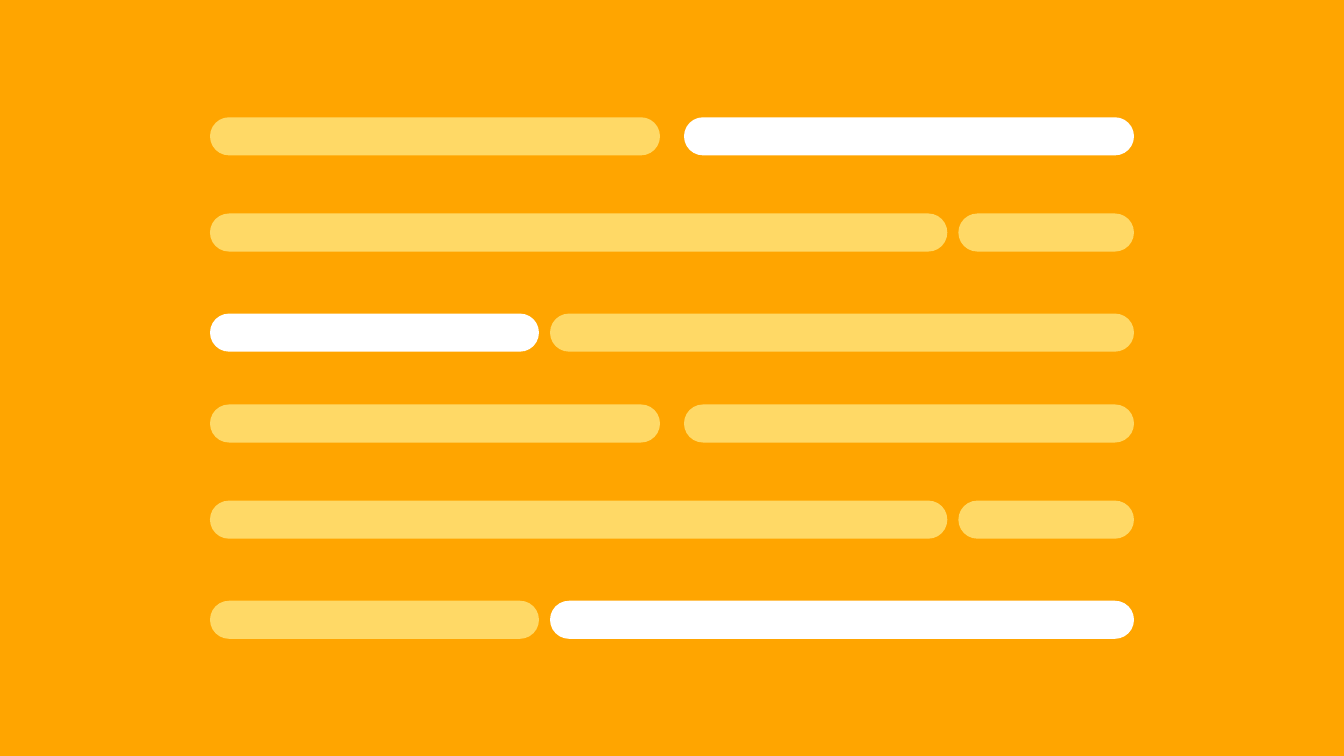
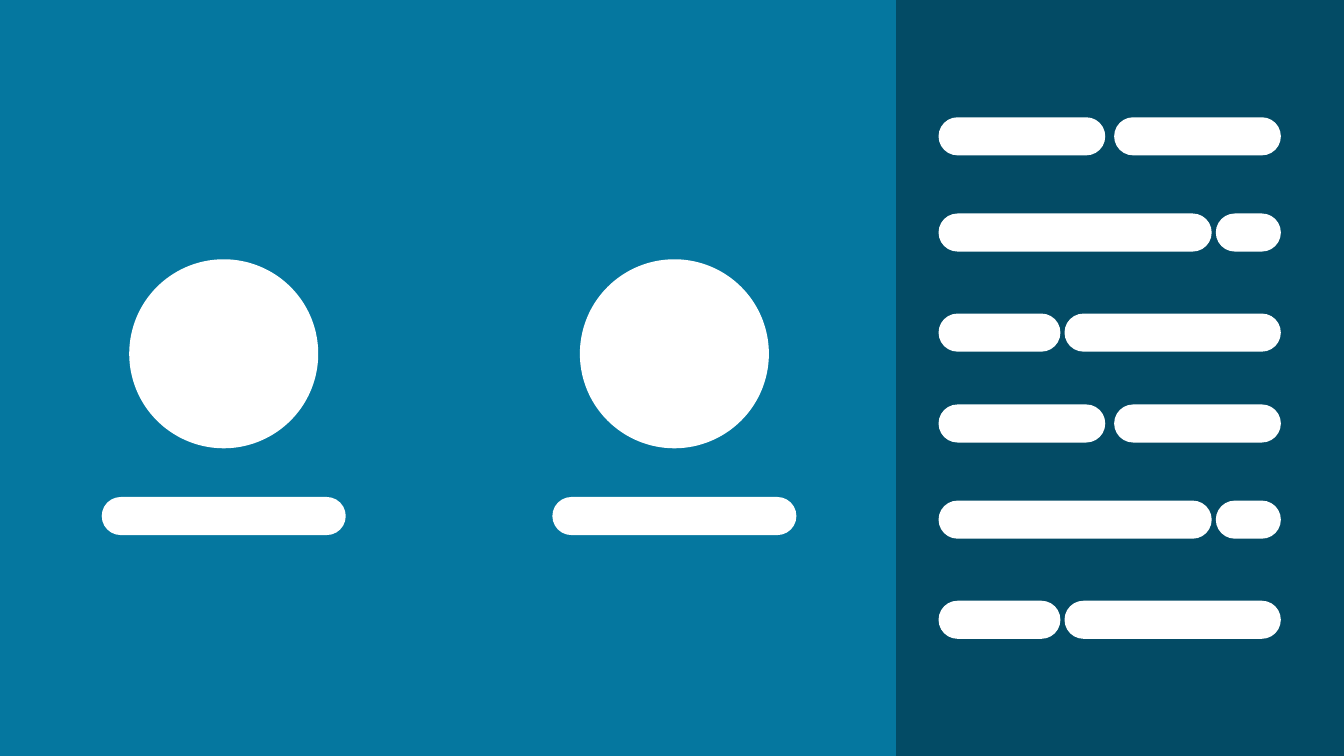
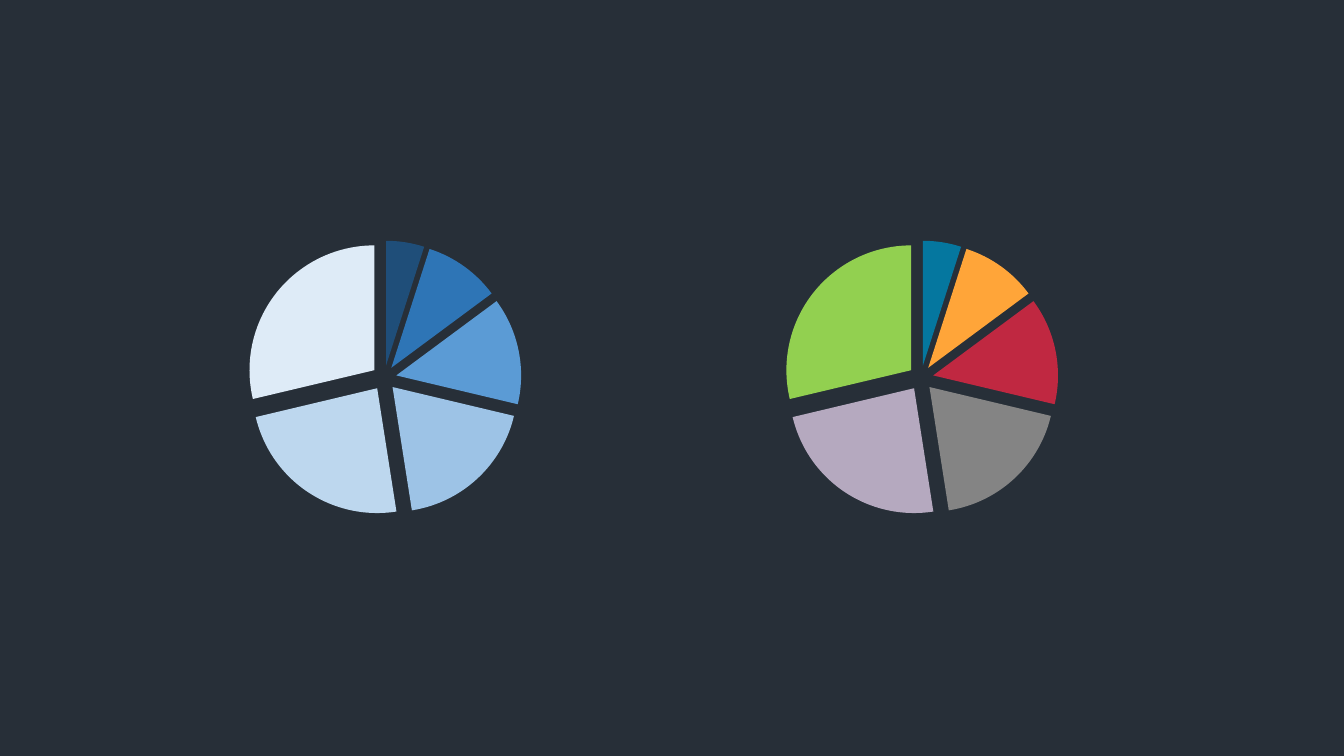
from dataclasses import dataclass
from typing import Any

from lxml.etree import SubElement
from pptx import Presentation
from pptx.chart.data import CategoryChartData as PieData
from pptx.dml.color import RGBColor
from pptx.enum.chart import XL_CHART_TYPE as Kind
from pptx.enum.shapes import MSO_SHAPE as Form
from pptx.oxml.ns import qn
from pptx.util import Pt


# Theme: colours, type and shared sizes
@dataclass(frozen=True)
class Theme:
    white: str = "FFFFFF"
    black: str = "000000"
    orange: str = "FFA500"
    yellow: str = "FFD966"
    blue: str = "05779F"
    navy: str = "034B65"
    slate: str = "272F38"
    blues: tuple[str, ...] = ("1F4E79", "2E75B6", "5B9BD5", "9DC3E6", "BDD7EE", "DEEBF7")
    mixed: tuple[str, ...] = ("05779F", "FFA539", "C02841", "848484", "B5A9BF", "92D050")
    font: str = "Calibri"
    size: float = 10
    wide: float = 960
    high: float = 540
    bar: float = 27.2


@dataclass(frozen=True)
class Box:
    left: float
    top: float
    wide: float
    high: float

    def points(self) -> tuple[Pt, Pt, Pt, Pt]:
        return Pt(self.left), Pt(self.top), Pt(self.wide), Pt(self.high)


@dataclass(frozen=True)
class Row:
    """Top of a text row, share of its first bar, share of its gap."""
    top: float
    share: float
    gap: float


@dataclass(frozen=True)
class Pie:
    left: float
    tints: tuple[str, ...]


THEME = Theme()
PAGE = Box(0, 0, THEME.wide, THEME.high)

# Three rows, repeated once further down
STEP = 205.1
BASE = (Row(83.8, 0.487, 0.026), Row(152.5, 0.798, 0.012), Row(224, 0.356, 0.012))
ROWS = [Row(row.top + turn * STEP, row.share, row.gap) for turn in range(2) for row in BASE]


# Shared parts
def draw(shapes: Any, form: Form, box: Box, tint: str) -> Any:
    shape = shapes.add_shape(form, *box.points())
    shape.shadow.inherit = False
    shape.fill.solid()
    shape.fill.fore_color.rgb = RGBColor.from_string(tint)
    shape.line.fill.background()
    return shape


def pill(shapes: Any, left: float, top: float, wide: float, tint: str) -> None:
    shape = draw(shapes, Form.ROUNDED_RECTANGLE, Box(left, top, wide, THEME.bar), tint)
    shape.adjustments[0] = 0.5


def page(deck: Any, tint: str) -> Any:
    shapes = deck.slides.add_slide(deck.slide_layouts[6]).shapes
    draw(shapes, Form.RECTANGLE, PAGE, tint)
    return shapes


def lines(shapes: Any, left: float, wide: float, tint: str,
          marked: frozenset[tuple[int, int]] = frozenset()) -> None:
    """Rows of two bars that stand for text; marked bars are white."""
    group = shapes.add_group_shape().shapes
    for index, row in enumerate(ROWS):
        start = row.share + row.gap
        for part, (begin, share) in enumerate(((0, row.share), (start, 1 - start))):
            colour = THEME.white if (index, part) in marked else tint
            pill(group, left + begin * wide, row.top, share * wide, colour)


def chart(shapes: Any, pie: Pie) -> None:
    data = PieData()
    data.categories = ["1", "2", "3", "4", "5", "6"]
    data.add_series("Series 1", (5, 10, 14, 19, 24, 29))
    box = Box(pie.left, 162, 360, 216)
    graph = shapes.add_chart(Kind.PIE, *box.points(), data).chart
    graph.has_title = False
    graph.has_legend = False
    graph.font.name = THEME.font
    graph.font.size = Pt(THEME.size)
    graph.font.color.rgb = RGBColor.from_string(THEME.black)
    plot = graph.plots[0]
    plot.vary_by_categories = True
    series = plot.series[0]
    for index, tint in enumerate(pie.tints):
        style = series.points[index].format
        style.fill.solid()
        style.fill.fore_color.rgb = RGBColor.from_string(tint)
        style.line.fill.background()
    # Pull the slices apart
    node = series._element
    burst = SubElement(node, qn("c:explosion"), val="10")
    node.find(qn("c:dPt")).addprevious(burst)


# Slides
def text_slide(deck: Any) -> None:
    shapes = page(deck, THEME.orange)
    lines(shapes, 150, 660, THEME.yellow, frozenset({(0, 1), (2, 0), (5, 1)}))


def people_slide(deck: Any) -> None:
    shapes = page(deck, THEME.navy)
    draw(shapes, Form.RECTANGLE, Box(0, 0, 640, THEME.high), THEME.blue)
    disc, label = 135, 174.3
    for centre in (159.8, 481.7):
        draw(shapes, Form.OVAL, Box(centre - disc / 2, 185.2, disc, disc), THEME.white)
        pill(shapes, centre - label / 2, 355, label, THEME.white)
    lines(shapes, 670.4, 244.5, THEME.white)


def pie_slide(deck: Any) -> None:
    shapes = page(deck, THEME.slate)
    for pie in (Pie(94.4, THEME.blues), Pie(477.9, THEME.mixed)):
        chart(shapes, pie)


def main() -> None:
    deck = Presentation()
    deck.slide_width, deck.slide_height = Pt(THEME.wide), Pt(THEME.high)
    for build in (text_slide, people_slide, pie_slide):
        build(deck)
    deck.save("out.pptx")


if __name__ == "__main__":
    main()
